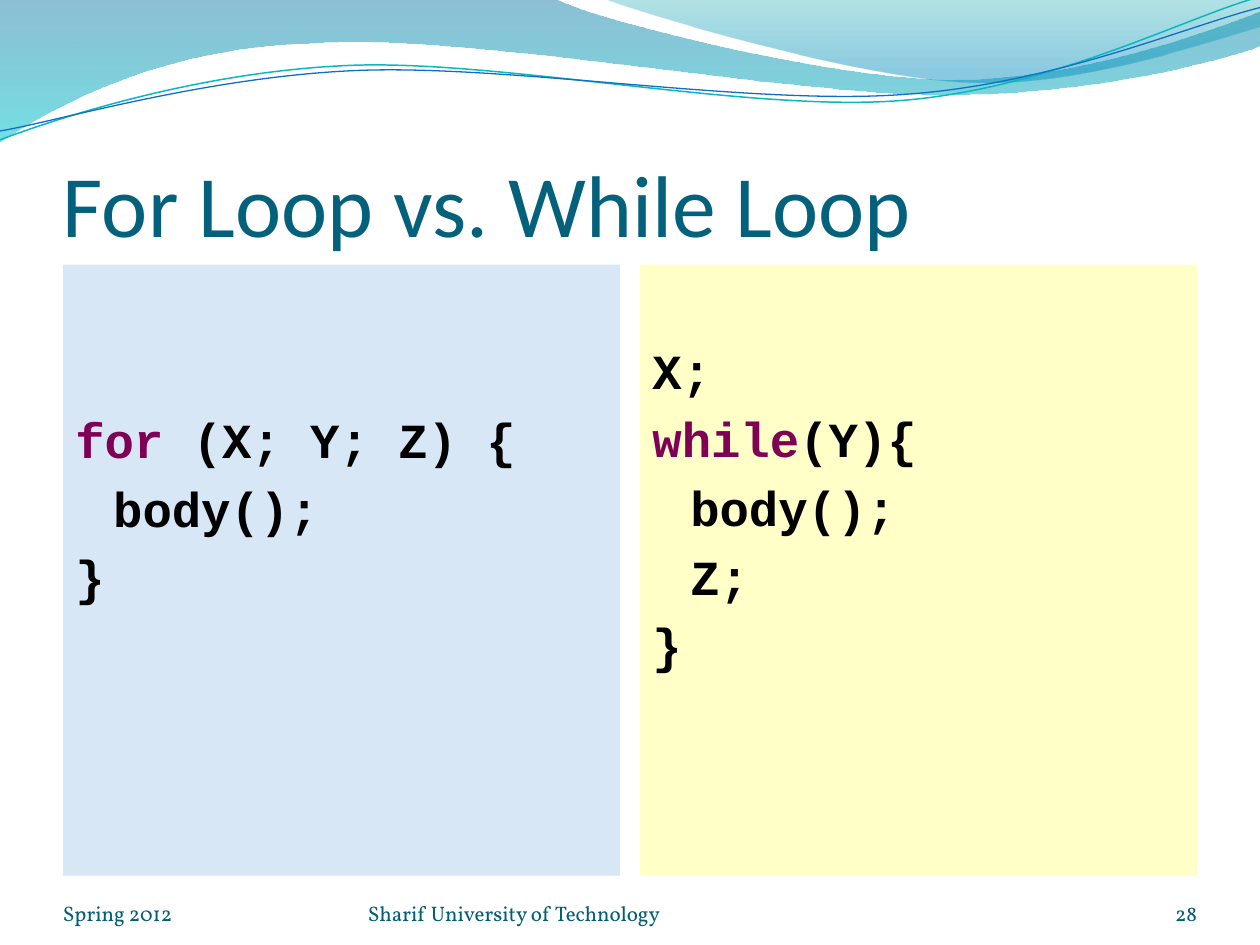
from lxml.etree import SubElement
from pptx import Presentation
from pptx.dml.color import RGBColor
from pptx.enum.shapes import MSO_SHAPE
from pptx.enum.text import MSO_ANCHOR, PP_ALIGN
from pptx.oxml.ns import qn
from pptx.util import Inches, Pt

BLACK = RGBColor(0x00, 0x00, 0x00)
PURPLE = RGBColor(0x7F, 0x00, 0x55)
TITLE_TEAL = RGBColor(0x04, 0x61, 0x7B)
FOOTER_TEAL = RGBColor(0x04, 0x5D, 0x75)
BLUE = RGBColor(0x0F, 0x6F, 0xC6)
YELLOW = RGBColor(0xFF, 0xFF, 0x00)
TEAL = RGBColor(0x0A, 0xB8, 0xBF)
DEEP_BLUE = RGBColor(0x00, 0x74, 0xA1)
CYAN = RGBColor(0x00, 0xC6, 0xCF)
DARK_TEAL = RGBColor(0x00, 0xA1, 0xA9)
SKY = RGBColor(0x00, 0x8B, 0xBF)

FILLED_WAVES = [
    ([(0, 0), (4.4, -0.01),
      (4.76, 0.17, 6.64, 0.63, 7.58, 0.63), (8.53, 0.63, 9.58, 0.26, 10, 0.09),
      (10.01, 0.36),
      (9.83, 0.44, 8.7, 0.76, 7.46, 0.75), (6.22, 0.75, 3.82, 0.28, 2.57, 0.34),
      (1.29, 0.36, 0.46, 0.83, -0.01, 1.13)],
     [(0, DEEP_BLUE, 45), (1, CYAN, 55)]),
    ([(4.79, -0.01),
      (5.09, 0.11, 6.82, 0.62, 7.69, 0.65), (8.56, 0.69, 9.61, 0.32, 10, 0.21),
      (10, 0)],
     [(0, DARK_TEAL, 30), (0.8, SKY, 45)]),
]

LINE_WAVES = [
    ([(0, 1.11),
      (0.48, 0.93, 1.58, 0.57, 2.77, 0.52), (3.95, 0.47, 5.93, 0.89, 7.13, 0.8),
      (8.33, 0.71, 9.38, 0.15, 9.98, -0.02)],
     TEAL, 0.85),
    ([(0, 1.04),
      (0.47, 0.96, 1.64, 0.61, 2.83, 0.56), (4.03, 0.51, 5.97, 0.84, 7.17, 0.75),
      (8.36, 0.67, 9.41, 0.21, 10, 0.06)],
     BLUE, 0.75),
]

PANELS = [
    {"color": BLUE, "opacity": 16, "first_row": 2,
     "code": [(0, [("for", PURPLE), (" (X; Y; Z) {", BLACK)]),
              (1, [("body();", BLACK)]),
              (0, [("}", BLACK)])]},
    {"color": YELLOW, "opacity": 22, "first_row": 1,
     "code": [(0, [("X;", BLACK)]),
              (0, [("while", PURPLE), ("(Y){", BLACK)]),
              (1, [("body();", BLACK)]),
              (1, [("Z;", BLACK)]),
              (0, [("}", BLACK)])]},
]

FOOTERS = [
    ("Spring 2012", 0.5, 2.33, PP_ALIGN.LEFT),
    ("Sharif University of Technology", 2.92, 3.67, PP_ALIGN.LEFT),
    ("28", 8.67, 0.83, PP_ALIGN.RIGHT),
]

SLIDE_WIDTH, SLIDE_HEIGHT = 10, 7.5
MARGIN = 0.5
CONTENT_WIDTH = SLIDE_WIDTH - 2 * MARGIN
PANEL_TOP, PANEL_HEIGHT, PANEL_GAP = 2.1, 4.85, 0.16
PANEL_WIDTH = (CONTENT_WIDTH - PANEL_GAP) / len(PANELS)
FOOTER_TOP = PANEL_TOP + PANEL_HEIGHT
CODE_SIZE, CODE_INDENT, CODE_INSET, ROW_HEIGHT = 28, 0.3, 0.05, 0.55
CODE_GAP = 0.2 * CODE_SIZE


def set_opacity(parent, percent):
    for color in parent.iter(qn("a:srgbClr")):
        SubElement(color, qn("a:alpha")).set("val", str(percent * 1000))


def bend_curves(wave, segments):
    steps = iter(list(wave.element.iter(qn("a:lnTo"))))
    for segment in segments:
        step = next(steps)
        if len(segment) == 6:
            step.tag = qn("a:cubicBezTo")
            for extra in (next(steps), next(steps)):
                step.append(extra[0])
                extra.getparent().remove(extra)


def add_wave(page, outline, closed):
    start, *segments = outline
    points = [(Inches(x), Inches(y)) for segment in segments
              for x, y in zip(segment[::2], segment[1::2])]
    builder = page.shapes.build_freeform(Inches(start[0]), Inches(start[1]))
    builder.add_line_segments(points, close=closed)
    wave = builder.convert_to_shape()
    wave.shadow.inherit = False
    bend_curves(wave, segments)
    return wave


def add_filled_wave(page, outline, stops):
    wave = add_wave(page, outline, closed=True)
    wave.line.fill.background()
    wave.fill.gradient()
    wave.fill.gradient_angle = 270
    marks = wave.element.iter(qn("a:gs"))
    for stop, mark, (position, color, opacity) in zip(wave.fill.gradient_stops, marks, stops):
        stop.position = position
        stop.color.rgb = color
        set_opacity(mark, opacity)


def add_line_wave(page, outline, color, width):
    wave = add_wave(page, outline, closed=False)
    wave.fill.background()
    wave.line.color.rgb = color
    wave.line.width = Pt(width)


def add_text(para, text, font, size, color, bold=False, align=PP_ALIGN.LEFT):
    para.alignment = align
    span = para.add_run()
    span.text = text
    span.font.name, span.font.size, span.font.bold = font, Pt(size), bold
    span.font.color.rgb = color


def add_label(page, text, left, top, width, height, **style):
    box = page.shapes.add_textbox(Inches(left), Inches(top), Inches(width), Inches(height))
    frame = box.text_frame
    frame.word_wrap = True
    frame.vertical_anchor = MSO_ANCHOR.BOTTOM
    frame.margin_left = frame.margin_right = frame.margin_top = frame.margin_bottom = 0
    add_text(frame.paragraphs[0], text, **style)


def add_panel(page, left, color, opacity, first_row, code):
    panel = page.shapes.add_shape(MSO_SHAPE.RECTANGLE, Inches(left), Inches(PANEL_TOP),
                                  Inches(PANEL_WIDTH), Inches(PANEL_HEIGHT))
    panel.shadow.inherit = False
    panel.line.fill.background()
    panel.fill.solid()
    panel.fill.fore_color.rgb = color
    set_opacity(panel.element.spPr, opacity)
    frame = panel.text_frame
    frame.word_wrap = True
    frame.vertical_anchor = MSO_ANCHOR.TOP
    frame.margin_top = Inches(CODE_INSET + first_row * ROW_HEIGHT)
    for row, (level, spans) in enumerate(code):
        para = frame.add_paragraph() if row else frame.paragraphs[0]
        para.space_before = Pt(CODE_GAP if row else 0)
        para._p.get_or_add_pPr().set("marL", str(Inches(level * CODE_INDENT)))
        for text, text_color in spans:
            add_text(para, text, font="Courier New", size=CODE_SIZE, color=text_color, bold=True)


def main():
    deck = Presentation()
    deck.slide_width, deck.slide_height = Inches(SLIDE_WIDTH), Inches(SLIDE_HEIGHT)
    page = deck.slides.add_slide(deck.slide_layouts[6])
    for outline, stops in FILLED_WAVES:
        add_filled_wave(page, outline, stops)
    for outline, color, width in LINE_WAVES:
        add_line_wave(page, outline, color, width)
    add_label(page, "For Loop vs. While Loop", MARGIN, 0.77, CONTENT_WIDTH, 1.25,
              font="Calibri", size=50, color=TITLE_TEAL)
    for column, panel in enumerate(PANELS):
        add_panel(page, MARGIN + column * (PANEL_WIDTH + PANEL_GAP), **panel)
    for text, left, width, align in FOOTERS:
        add_label(page, text, left, FOOTER_TOP, width, 0.4,
                  font="Vollkorn", size=12, color=FOOTER_TEAL, align=align)
    deck.save("out.pptx")


if __name__ == "__main__":
    main()
